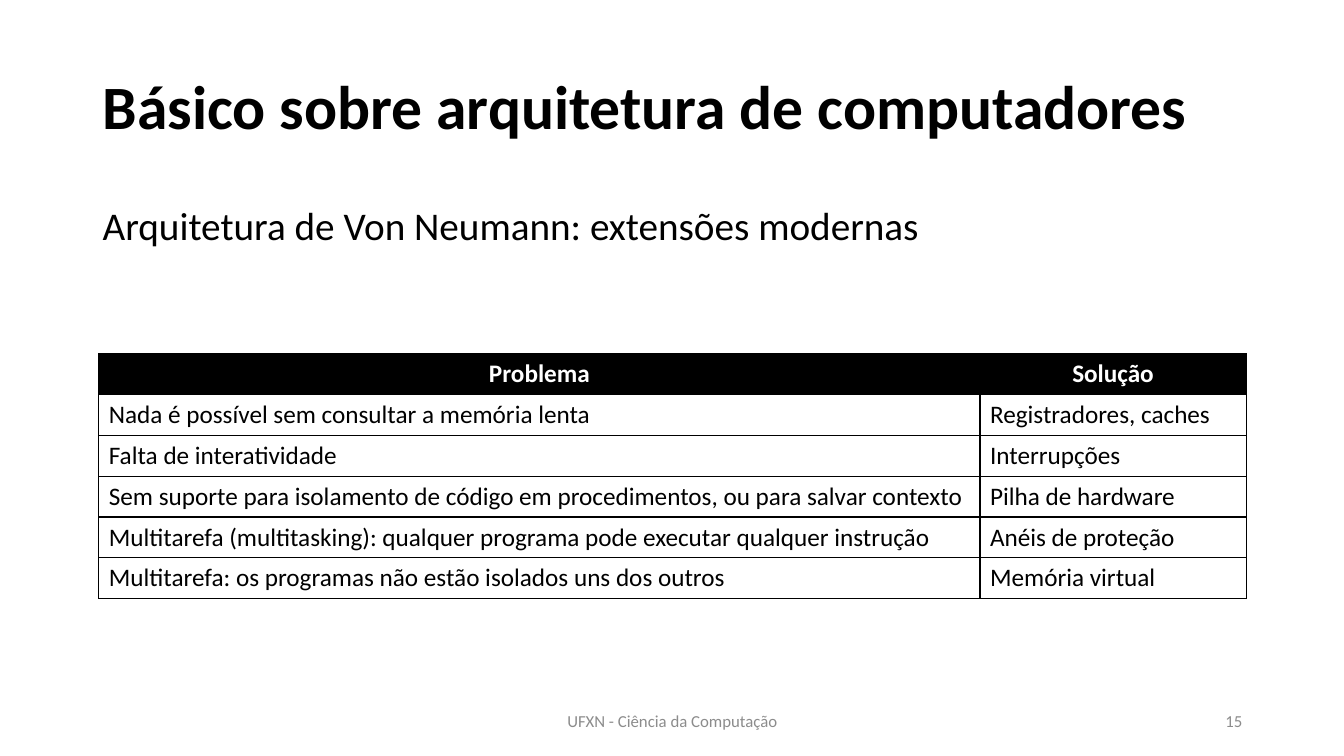
from lxml import etree
from pptx import Presentation
from pptx.dml.color import RGBColor
from pptx.enum.text import MSO_ANCHOR, PP_ALIGN
from pptx.oxml.ns import qn
from pptx.util import Inches, Pt

LEFT, CENTER, RIGHT = PP_ALIGN.LEFT, PP_ALIGN.CENTER, PP_ALIGN.RIGHT
TOP, MIDDLE = MSO_ANCHOR.TOP, MSO_ANCHOR.MIDDLE
FONT = "Calibri"
COLORS = {"black": "000000", "white": "FFFFFF", "gray": "8C8C8C"}
BORDER_WIDTH = Pt(1)
ROW_HEIGHT = 0.405
COLUMN_WIDTHS = [8.74, 2.64]

ROWS = [
    ("Problema", "Solução"),
    ("Nada é possível sem consultar a memória lenta", "Registradores, caches"),
    ("Falta de interatividade", "Interrupções"),
    ("Sem suporte para isolamento de código em procedimentos, ou para salvar contexto",
     "Pilha de hardware"),
    ("Multitarefa (multitasking): qualquer programa pode executar qualquer instrução",
     "Anéis de proteção"),
    ("Multitarefa: os programas não estão isolados uns dos outros", "Memória virtual"),
]


def style_paragraph(paragraph, size, color, bold=False, alignment=LEFT):
    paragraph.alignment = alignment
    paragraph.font.name = FONT
    paragraph.font.size = Pt(size)
    paragraph.font.bold = bold
    paragraph.font.color.rgb = RGBColor.from_string(COLORS[color])


def add_text(box, text, size, color, anchor=MIDDLE, bold=False, alignment=LEFT):
    shape = slide.shapes.add_textbox(*[Inches(length) for length in box])
    frame = shape.text_frame
    frame.word_wrap = True
    frame.vertical_anchor = anchor
    paragraph = frame.paragraphs[0]
    paragraph.text = text
    style_paragraph(paragraph, size, color, bold, alignment)
    return paragraph


presentation = Presentation()
presentation.slide_width = Inches(13.33)
presentation.slide_height = Inches(7.5)
slide = presentation.slides.add_slide(presentation.slide_layouts[6])

title = add_text((0.92, 0.36, 11.5, 1.45), "Básico sobre arquitetura de computadores",
                 44, "black", bold=True)
title.line_spacing = 0.9

subtitle = add_text((0.92, 2, 11.5, 4.76), "Arquitetura de Von Neumann: extensões modernas",
                    28, "black", anchor=TOP)
subtitle.line_spacing = 0.9
subtitle.space_before = Pt(10)
subtitle.space_after = Pt(6)

add_text((4.42, 6.95, 4.5, 0.4), "UFXN - Ciência da Computação", 12, "gray", alignment=CENTER)
add_text((9.42, 6.95, 3, 0.4), "15", 12, "gray", alignment=RIGHT)

table = slide.shapes.add_table(
    len(ROWS), len(COLUMN_WIDTHS), Inches(0.98), Inches(3.51),
    Inches(sum(COLUMN_WIDTHS)), Inches(ROW_HEIGHT * len(ROWS))).table
for column, width in zip(table.columns, COLUMN_WIDTHS):
    column.width = Inches(width)

for row_index, texts in enumerate(ROWS):
    table.rows[row_index].height = Inches(ROW_HEIGHT)
    is_header = row_index == 0
    for column_index, text in enumerate(texts):
        cell = table.cell(row_index, column_index)
        cell.text = text
        style_paragraph(cell.text_frame.paragraphs[0], 18,
                        "white" if is_header else "black", is_header,
                        CENTER if is_header else LEFT)
        properties = cell._tc.get_or_add_tcPr()
        for side in ("a:lnL", "a:lnR", "a:lnT", "a:lnB"):
            line = etree.SubElement(properties, qn(side), w=str(BORDER_WIDTH))
            line_fill = etree.SubElement(line, qn("a:solidFill"))
            etree.SubElement(line_fill, qn("a:srgbClr"), val=COLORS["black"])
        cell.fill.solid()
        cell.fill.fore_color.rgb = RGBColor.from_string(
            COLORS["black" if is_header else "white"])

presentation.save("out.pptx")
